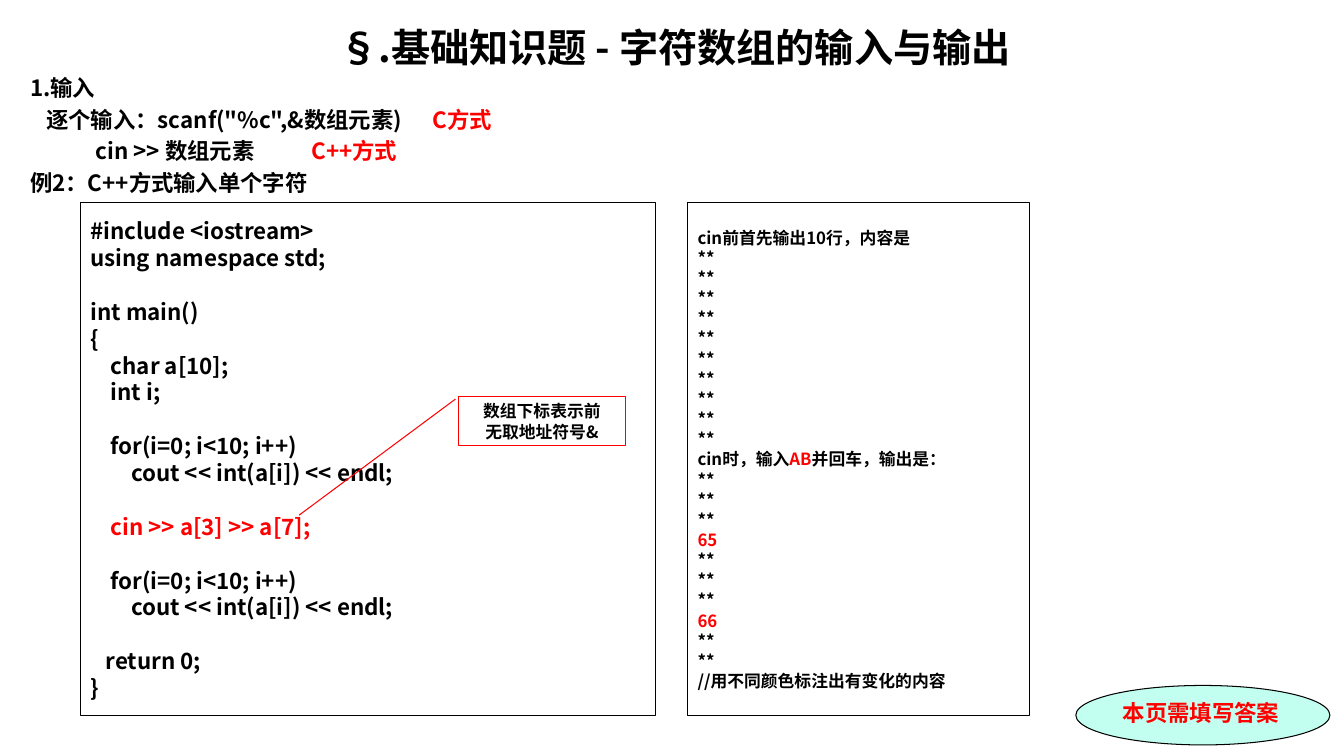
from lxml import etree
from pptx import Presentation
from pptx.dml.color import RGBColor
from pptx.enum.shapes import MSO_SHAPE as Shape
from pptx.enum.text import MSO_ANCHOR as Anchor, PP_ALIGN as Align
from pptx.oxml.ns import qn
from pptx.util import Inches, Pt

SANS, SERIF = "Noto Sans CJK SC", "Times New Roman"
BLACK, RED, MINT = "000000", "FF0000", "C2FFF0"
LINE_RATIO = 1.2

deck = Presentation()
deck.slide_width, deck.slide_height = Inches(13.33), Inches(7.5)
slide = deck.slides.add_slide(deck.slide_layouts[6])


def color(value):
    return RGBColor.from_string(value)


def write(paragraph, runs, size, font=SANS, before=0, align=Align.LEFT, tabs=()):
    """Fill a paragraph with (text, colour) runs and tab stops in inches."""
    paragraph.alignment = align
    paragraph.line_spacing = Pt(round(size * LINE_RATIO, 1))
    paragraph.space_before = Pt(before)
    if tabs:
        stops = etree.SubElement(paragraph._p.get_or_add_pPr(), qn("a:tabLst"))
        for stop in tabs:
            etree.SubElement(stops, qn("a:tab"), pos=str(Inches(stop)), algn="l")
    for text, ink in runs:
        run = paragraph.add_run()
        run.text = text
        run.font.name, run.font.size, run.font.bold = font, Pt(size), True
        run.font.color.rgb = color(ink)
        etree.SubElement(run._r.get_or_add_rPr(), qn("a:ea"), typeface=SANS)


# Heading and introduction
intro = slide.shapes.add_textbox(
    Inches(0.2), Inches(0.18), Inches(12.99), Inches(1.8)).text_frame
intro.word_wrap = True
write(intro.paragraphs[0], [("§.基础知识题 - 字符数组的输入与输出", BLACK)], 28,
      align=Align.CENTER)
intro_lines = [
    ([("1.输入", BLACK)], ()),
    ([("\t逐个输入：scanf(\"%c\",&数组元素)\t", BLACK), ("C方式", RED)], (0.16, 3.99)),
    ([("\tcin >> 数组元素\t", BLACK), ("C++方式", RED)], (0.65, 2.79)),
    ([("例2：C++方式输入单个字符", BLACK)], ()),
]
for runs, tabs in intro_lines:
    write(intro.add_paragraph(), runs, 16, before=3.2, tabs=tabs)

# Program listing: an empty string opens a gap above the next line
print_loop = [
    "    for(i=0; i<10; i++)",
    "        cout << int(a[i]) << endl;",
]
code = [
    "#include <iostream>", "using namespace std;", "",
    "int main()", "{", "    char a[10];", "    int i;", "",
    *print_loop, "",
    "    cin >> a[3] >> a[7];", "",
    *print_loop, "",
    "   return 0;", "}",
]
code_lines = [[(line, RED if "cin" in line else BLACK)] if line else [] for line in code]

# Program output: elements 3 and 7 change
answers = {3: "65", 7: "66"}
before_input = [[("**", BLACK)] for _ in range(10)]
after_input = [[(answers.get(i, "**"), RED if i in answers else BLACK)] for i in range(10)]
output_lines = [
    [("cin前首先输出10行，内容是", BLACK)],
    *before_input,
    [("cin时，输入", BLACK), ("AB", RED), ("并回车，输出是：", BLACK)],
    *after_input,
    [("//用不同颜色标注出有变化的内容", BLACK)],
]

# Callout and answer reminder
note_lines = [[("数组下标表示前", BLACK)], [("无取地址符号&", BLACK)]]
reminder_lines = [[("本页需填写答案", RED)]]

# Every outlined part: shape, place, fill, outline, anchor, alignment, font, size, lines
parts = [
    (Shape.OVAL, (10.67, 6.8, 2.52, 0.59), MINT, BLACK,
     Anchor.TOP, Align.LEFT, SERIF, 16, reminder_lines),
    (Shape.RECTANGLE, (0.8, 2.01, 5.7, 5.09), None, BLACK,
     Anchor.MIDDLE, Align.LEFT, SANS, 16, code_lines),
    (Shape.RECTANGLE, (6.82, 2.01, 3.39, 5.09), None, BLACK,
     Anchor.MIDDLE, Align.LEFT, SANS, 12, output_lines),
    (Shape.LINE_CALLOUT_1, (4.55, 3.93, 1.65, 0.49), None, RED,
     Anchor.TOP, Align.CENTER, SANS, 12, note_lines),
]
for kind, place, fill, outline, anchor, align, font, size, lines in parts:
    part = slide.shapes.add_shape(kind, *map(Inches, place))
    part.shadow.inherit = False
    if fill:
        part.fill.solid()
        part.fill.fore_color.rgb = color(fill)
    else:
        part.fill.background()
    part.line.color.rgb = color(outline)
    part.line.width = Pt(0.75)
    if kind == Shape.LINE_CALLOUT_1:
        for i, ratio in enumerate((0.06, -0.02, 2.41, -0.96)):
            part.adjustments[i] = ratio
    frame = part.text_frame
    frame.word_wrap = True
    frame.vertical_anchor = anchor
    if kind == Shape.OVAL:
        frame.margin_right = 0
    paragraph, gap = frame.paragraphs[0], 0
    for number, runs in enumerate(lines):
        if not runs:
            gap = round(size * LINE_RATIO, 1)
            continue
        if number:
            paragraph = frame.add_paragraph()
        write(paragraph, runs, size, font, gap, align)
        gap = 0

deck.save("out.pptx")
